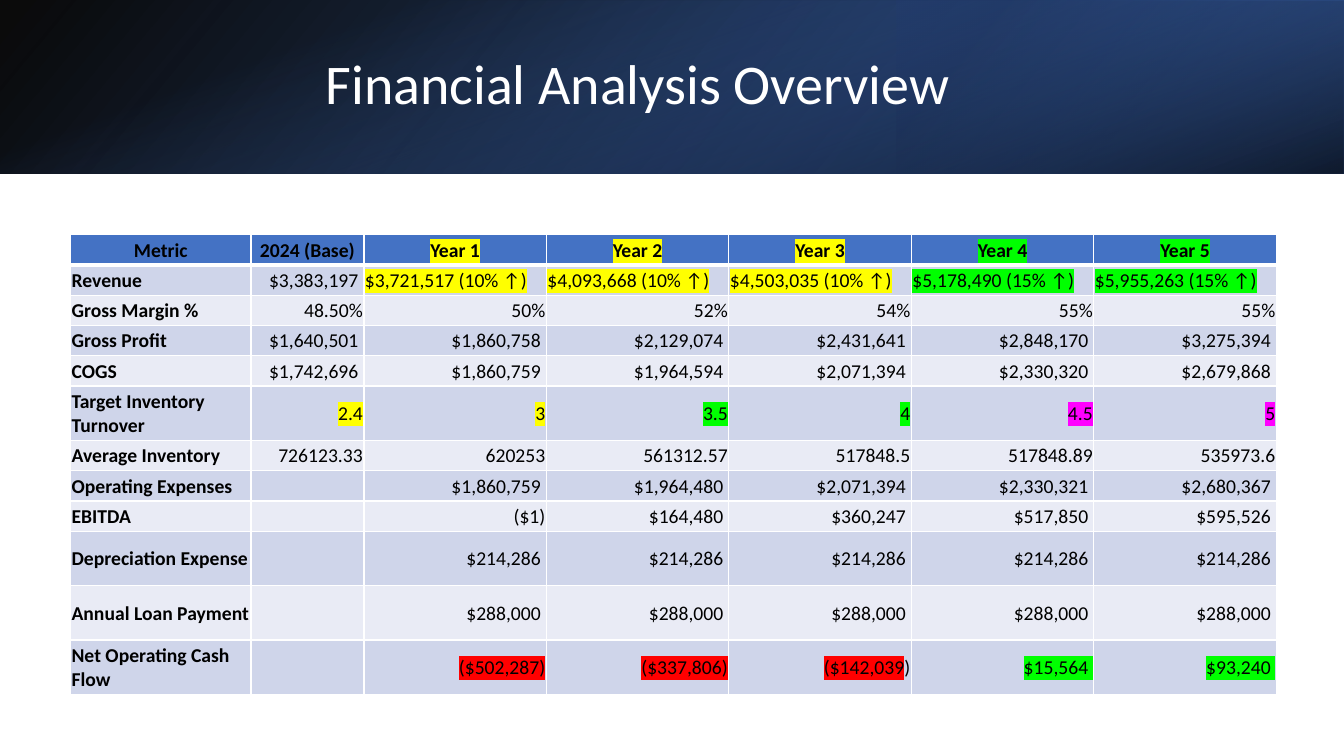
import dataclasses
import typing

import lxml.etree
import pptx
import pptx.dml.color
import pptx.enum.shapes
import pptx.enum.text
import pptx.oxml.ns
import pptx.util

Inches = pptx.util.Inches
Pt = pptx.util.Pt
Align = pptx.enum.text.PP_ALIGN
qn = pptx.oxml.ns.qn

COLORS = {
    "white": "FFFFFF", "black": "000000", "blue": "4472C4", "deep": "2F5597",
    "navy": "203864", "dark_band": "CFD5EA", "light_band": "E9EBF5",
    "yellow": "FFFF00", "green": "00FF00", "magenta": "FF00FF", "red": "FF0000",
}
COLUMN_WIDTHS = [1.79, 1.12] + [1.81] * 5
SHORT, TALL = 0.3, 0.54
CELL_FORMAT = {
    "margin_left": Inches(0.01), "margin_right": Inches(0.01),
    "margin_top": Inches(0.01), "margin_bottom": 0,
    "vertical_anchor": pptx.enum.text.MSO_ANCHOR.MIDDLE,
}
TITLE_FORMAT = {
    "word_wrap": True, "margin_left": Inches(1.73),
    "vertical_anchor": pptx.enum.text.MSO_ANCHOR.MIDDLE,
}


class Stop(typing.NamedTuple):
    position: float
    color: str
    opacity: int


@dataclasses.dataclass
class Band:
    left: float
    top: float
    width: float
    height: float
    stops: tuple[Stop, Stop]
    angle: int
    rotation: int = 0
    flipped: bool = False


@dataclasses.dataclass
class Metric:
    """A table row; text after a bar in a value is left without highlight."""
    label: str
    values: list[str]
    highlights: list[str] = dataclasses.field(default_factory=lambda: [""] * 6)
    height: float = SHORT
    alignment: Align = Align.RIGHT


BANDS = [
    Band(0, 0, 13.33, 1.72, (Stop(0, "black", 96), Stop(1, "deep", 100)), 140, flipped=True),
    Band(8.89, 0, 4.44, 1.72, (Stop(0.19, "navy", 68), Stop(1, "blue", 79)), 320, 180, True),
    Band(5.8, -5.8, 1.72, 13.33, (Stop(0.23, "blue", 0), Stop(0.99, "black", 74)), 340, 90),
]
GROWTH = [""] + ["yellow"] * 3 + ["green"] * 2
METRICS = [
    Metric("Metric", ["2024 (Base)"] + [f"Year {year}" for year in range(1, 6)], GROWTH,
           alignment=Align.CENTER),
    Metric("Revenue", ["$3,383,197 ", "$3,721,517 (10% ↑)", "$4,093,668 (10% ↑)",
                       "$4,503,035 (10% ↑)", "$5,178,490 (15% ↑)", "$5,955,263 (15% ↑)"],
           GROWTH, alignment=Align.LEFT),
    Metric("Gross Margin %", ["48.50%", "50%", "52%", "54%", "55%", "55%"]),
    Metric("Gross Profit", ["$1,640,501 ", "$1,860,758 ", "$2,129,074 ", "$2,431,641 ",
                            "$2,848,170 ", "$3,275,394 "]),
    Metric("COGS", ["$1,742,696 ", "$1,860,759 ", "$1,964,594 ", "$2,071,394 ",
                    "$2,330,320 ", "$2,679,868 "]),
    Metric("Target Inventory Turnover", ["2.4", "3", "3.5", "4", "4.5", "5"],
           ["yellow"] * 2 + ["green"] * 2 + ["magenta"] * 2, TALL),
    Metric("Average Inventory", ["726123.33", "620253", "561312.57", "517848.5",
                                 "517848.89", "535973.6"]),
    Metric("Operating Expenses", ["", "$1,860,759 ", "$1,964,480 ", "$2,071,394 ",
                                  "$2,330,321 ", "$2,680,367 "]),
    Metric("EBITDA", ["", "($1)", "$164,480 ", "$360,247 ", "$517,850 ", "$595,526 "]),
    Metric("Depreciation Expense", [""] + ["$214,286 "] * 5, height=TALL),
    Metric("Annual Loan Payment", [""] + ["$288,000 "] * 5, height=TALL),
    Metric("Net Operating Cash Flow", ["", "($502,287)", "($337,806)", "($142,039|)",
                                       "$15,564 ", "$93,240 "],
           [""] + ["red"] * 3 + ["green"] * 2, TALL),
]


def rgb(name: str) -> pptx.dml.color.RGBColor:
    return pptx.dml.color.RGBColor.from_string(COLORS[name])


def apply_format(target: typing.Any, values: dict[str, typing.Any]) -> None:
    for name, value in values.items():
        setattr(target, name, value)


def add_child(parent: typing.Any, tag: str, **attributes: str) -> typing.Any:
    return lxml.etree.SubElement(parent, qn(tag), attributes)


def add_text(paragraph: typing.Any, text: str, size: float, color: str,
             bold: bool = False, highlight: str = "") -> None:
    run = paragraph.add_run()
    run.text = text
    apply_format(run.font, {"size": Pt(size), "bold": bold, "name": "Calibri"})
    run.font.color.rgb = rgb(color)
    if highlight:
        mark = lxml.etree.Element(qn("a:highlight"))
        add_child(mark, "a:srgbClr", val=COLORS[highlight])
        run.font._element.find(qn("a:solidFill")).addnext(mark)


def draw_band(slide: typing.Any, band: Band) -> None:
    shape = slide.shapes.add_shape(
        pptx.enum.shapes.MSO_SHAPE.RECTANGLE,
        Inches(band.left), Inches(band.top), Inches(band.width), Inches(band.height))
    shape.shadow.inherit = False
    shape.line.fill.background()
    shape.rotation = band.rotation
    if band.flipped:
        shape._element.spPr.find(qn("a:xfrm")).set("flipH", "1")
    shape.fill.gradient()
    shape.fill.gradient_angle = 360 - band.angle
    for gradient_stop, stop in zip(shape.fill.gradient_stops, band.stops):
        gradient_stop.position = stop.position
        gradient_stop.color.rgb = rgb(stop.color)
    for color, stop in zip(shape._element.spPr.iter(qn("a:srgbClr")), band.stops):
        add_child(color, "a:alpha", val=str(stop.opacity * 1000))


def draw_title(slide: typing.Any) -> None:
    box = slide.shapes.add_textbox(Inches(1.5), Inches(0.38), Inches(10.98), Inches(0.96))
    apply_format(box.text_frame, TITLE_FORMAT)
    paragraph = box.text_frame.paragraphs[0]
    paragraph.line_spacing = 0.9
    add_text(paragraph, "Financial Analysis Overview", 40, "white")


def style_cell(cell: typing.Any, row: int) -> None:
    apply_format(cell, CELL_FORMAT)
    properties = cell._tc.get_or_add_tcPr()
    widths = {"L": 1, "R": 1, "T": 3 if row == 1 else 1, "B": 3 if row == 0 else 1}
    for side, width in widths.items():
        border = add_child(properties, f"a:ln{side}", w=str(Pt(width)))
        add_child(add_child(border, "a:solidFill"), "a:srgbClr", val=COLORS["white"])
    cell.fill.solid()
    band = "dark_band" if row % 2 else "light_band"
    cell.fill.fore_color.rgb = rgb(band if row else "blue")


def fill_cell(cell: typing.Any, text: str, alignment: Align, bold: bool, highlight: str) -> None:
    paragraph = cell.text_frame.paragraphs[0]
    paragraph.alignment = alignment
    marked, _, plain = text.partition("|")
    if marked:
        add_text(paragraph, marked, 14, "black", bold, highlight)
    else:
        add_child(paragraph._p, "a:endParaRPr", sz="1400")
    if plain:
        add_text(paragraph, plain, 14, "black", bold)


def draw_table(slide: typing.Any) -> None:
    table = slide.shapes.add_table(
        len(METRICS), len(COLUMN_WIDTHS), Inches(0.7), Inches(2.33),
        Inches(sum(COLUMN_WIDTHS)), Inches(sum(metric.height for metric in METRICS))).table
    for column, width in zip(table.columns, COLUMN_WIDTHS):
        column.width = Inches(width)
    for row, metric in enumerate(METRICS):
        table.rows[row].height = Inches(metric.height)
        texts = [metric.label] + metric.values
        for column, (text, highlight) in enumerate(zip(texts, [""] + metric.highlights)):
            cell = table.cell(row, column)
            style_cell(cell, row)
            alignment = metric.alignment
            if row and column < 2:
                alignment = Align.RIGHT if column else Align.LEFT
            fill_cell(cell, text, alignment, row == 0 or column == 0, highlight)


def main() -> None:
    presentation = pptx.Presentation()
    presentation.slide_width = Inches(13.33)
    presentation.slide_height = Inches(7.5)
    slide = presentation.slides.add_slide(presentation.slide_layouts[6])
    for band in BANDS:
        draw_band(slide, band)
    draw_title(slide)
    draw_table(slide)
    presentation.save("out.pptx")


if __name__ == "__main__":
    main()
